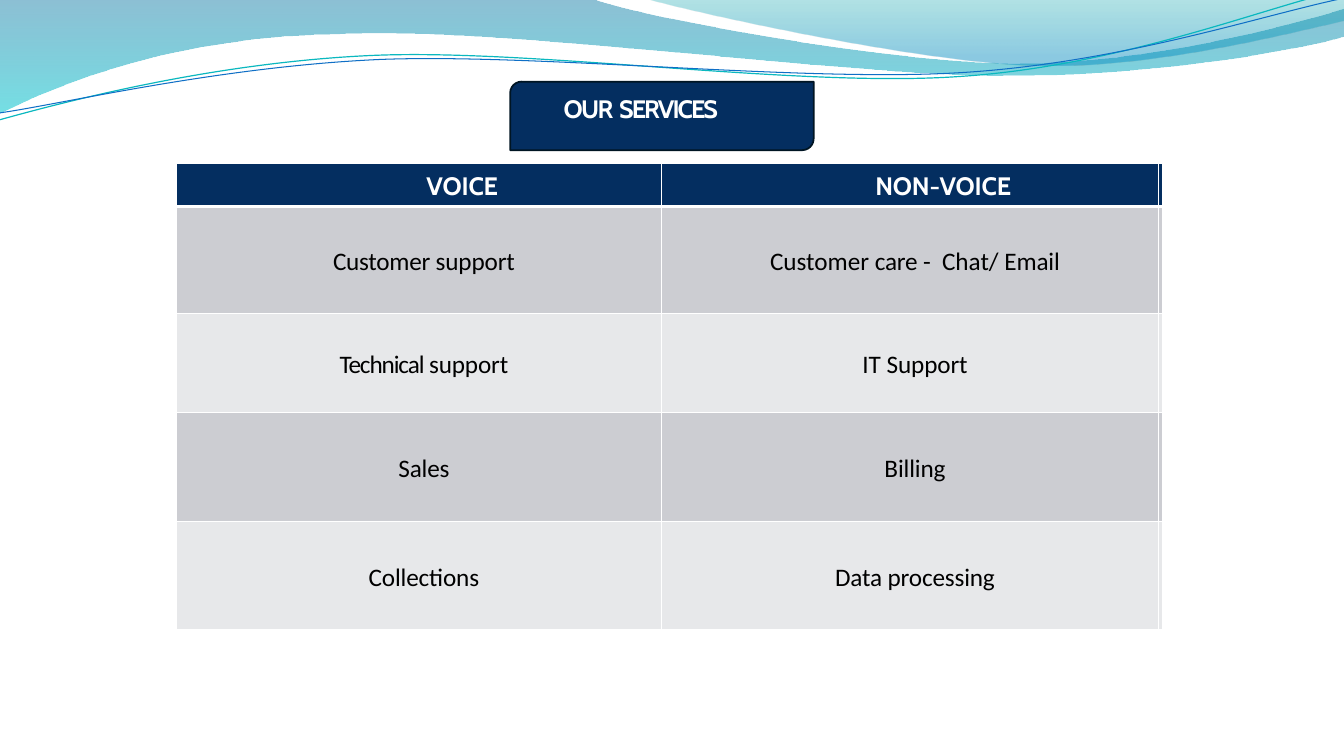
import pptx
import pptx.dml.color
import pptx.enum.shapes
import pptx.enum.text
import pptx.oxml
import pptx.oxml.ns
import pptx.util
from pptx.util import Inches

RGBColor = pptx.dml.color.RGBColor
NAVY = RGBColor(0x04, 0x2E, 0x60)
DARK_NAVY = RGBColor(0x00, 0x15, 0x23)
WHITE = RGBColor(0xFF, 0xFF, 0xFF)
BLACK = RGBColor(0x00, 0x00, 0x00)
DARK_BAND = RGBColor(0xCC, 0xCD, 0xD2)
LIGHT_BAND = RGBColor(0xE7, 0xE8, 0xEA)
DEEP_BLUE = RGBColor(0x00, 0x74, 0xA1)
CYAN = RGBColor(0x00, 0xC6, 0xCF)
TEAL = RGBColor(0x00, 0xA1, 0xA9)
SKY_BLUE = RGBColor(0x00, 0x8B, 0xBF)
TEAL_LINE = RGBColor(0x0A, 0xB8, 0xBF)
BLUE_LINE = RGBColor(0x0F, 0x6F, 0xC6)


def add_wave(page, start, segments, close):
    """Draw a freeform; a segment has one point (line) or three (cubic curve)."""
    builder = page.shapes.build_freeform(Inches(start[0]), Inches(start[1]))
    points = [(Inches(x), Inches(y)) for segment in segments for x, y in segment]
    builder.add_line_segments(points, close=close)
    wave = builder.convert_to_shape()
    wave.shadow.inherit = False
    steps = iter(list(wave._element.iter(pptx.oxml.ns.qn("a:lnTo"))))
    for segment in segments:
        first, *others = [next(steps) for _ in segment]
        if others:
            first.tag = pptx.oxml.ns.qn("a:cubicBezTo")
        for other in others:
            first.append(other[0])
            other.getparent().remove(other)
    return wave


def add_spans(para, spans, font_name, color, bold):
    """Fill a paragraph with (text, letter spacing in points) spans."""
    para.font.name = font_name
    para.font.size = pptx.util.Pt(18)
    para.font.bold = bold
    para.font.color.rgb = color
    for text, spacing in spans:
        span = para.add_run()
        span.text = text
        span.font._element.set("spc", str(round(spacing * 100)))


deck = pptx.Presentation()
deck.slide_width, deck.slide_height = Inches(13.33), Inches(7.5)
page = deck.slides.add_slide(deck.slide_layouts[6])

# Filled waves: start, segments, gradient stops (position, colour, opacity %)
filled_waves = [
    ((-0.01, 0),
     [[(5.87, -0.01)],
      [(6.34, 0.17), (8.85, 0.63), (10.11, 0.63)],
      [(11.38, 0.63), (12.78, 0.26), (13.33, 0.09)],
      [(13.35, 0.36)],
      [(13.11, 0.44), (11.6, 0.76), (9.94, 0.75)],
      [(8.29, 0.75), (5.09, 0.28), (3.43, 0.34)],
      [(1.72, 0.36), (0.61, 0.83), (-0.01, 1.13)]],
     [(0, DEEP_BLUE, 45), (1, CYAN, 55)]),
    ((6.39, -0.01),
     [[(6.79, 0.11), (9.09, 0.62), (10.25, 0.65)],
      [(11.41, 0.69), (12.82, 0.32), (13.33, 0.21)],
      [(13.33, 0)]],
     [(0, TEAL, 30), (0.8, SKY_BLUE, 45)]),
]
for start, segments, stops in filled_waves:
    wave = add_wave(page, start, segments, True)
    wave.line.fill.background()
    wave.fill.gradient()
    wave.fill.gradient_angle = 270
    for stop, (position, color, opacity) in zip(wave.fill.gradient_stops, stops):
        stop.position = position
        stop.color.rgb = color
        tint = stop._gs.find(pptx.oxml.ns.qn("a:srgbClr"))
        alpha = tint.makeelement(pptx.oxml.ns.qn("a:alpha"), {"val": str(opacity * 1000)})
        tint.append(alpha)

line_waves = [
    ((-0.01, 1.19),
     [[(0.64, 1.01), (2.11, 0.62), (3.69, 0.55)],
      [(5.27, 0.48), (7.9, 0.87), (9.5, 0.76)],
      [(11.1, 0.66), (12.52, 0.08), (13.31, -0.1)]], TEAL_LINE, 0.85),
    ((0, 1.12),
     [[(0.63, 1.03), (2.18, 0.66), (3.78, 0.59)],
      [(5.37, 0.53), (7.96, 0.82), (9.55, 0.72)],
      [(11.15, 0.62), (12.55, 0.14), (13.34, -0.02)]], BLUE_LINE, 0.75),
]
for start, segments, color, width in line_waves:
    wave = add_wave(page, start, segments, False)
    wave.fill.background()
    wave.line.color.rgb = color
    wave.line.width = pptx.util.Pt(width)

# Title banner
banner = page.shapes.add_shape(pptx.enum.shapes.MSO_SHAPE.ROUND_2_DIAG_RECTANGLE,
                               Inches(5.06), Inches(0.81), Inches(3.01), Inches(0.68))
banner.shadow.inherit = False
banner.fill.solid()
banner.fill.fore_color.rgb = NAVY
banner.line.color.rgb = DARK_NAVY
banner.line.width = pptx.util.Pt(1.25)

title_box = page.shapes.add_textbox(Inches(5.58), Inches(0.92), Inches(2), Inches(0.32))
frame = title_box.text_frame
frame.word_wrap = True
frame.margin_left = frame.margin_top = Inches(0.01)
frame.margin_right = frame.margin_bottom = 0
title = frame.paragraphs[0]
title.space_before = pptx.util.Pt(1)
add_spans(title, [("OUR", -1.1), (" ", 0), ("SERVICES", -1.4)], "Cabin", WHITE, True)

# Services table
services = [
    ([("VOICE", -0.1)], [("NON-VOICE", -0.1)]),
    ([("Customer ", -0.2), ("support", -0.1)],
     [("Customer ", 0), ("care ", -0.2), ("- ", 2), ("Chat/ ", 0), ("Email", -0.1)]),
    ([("Technical ", -0.8), ("support", -0.1)], [("IT ", 0), ("Support", -0.1)]),
    ([("Sales", -0.1)], [("Billing", -0.1)]),
    ([("Collections", -0.1)], [("Data processing", -0.1)]),
]
column_widths = [4.81, 4.93, 0.03]
row_heights = [0.43, 1.06, 0.98, 1.08, 1.08]
header_indents = [0.86, 0.66]
table = page.shapes.add_table(len(row_heights), len(column_widths), Inches(1.75), Inches(1.62),
                              Inches(sum(column_widths)), Inches(sum(row_heights))).table
for column, width in zip(table.columns, column_widths):
    column.width = Inches(width)
for r, height in enumerate(row_heights):
    table.rows[r].height = Inches(height)
    is_header = r == 0
    band = NAVY if is_header else DARK_BAND if r % 2 else LIGHT_BAND
    for c in range(len(column_widths)):
        cell = table.cell(r, c)
        for side in "LRTB":
            thick = (r, side) in ((0, "B"), (1, "T"))
            cell._tc.get_or_add_tcPr().append(pptx.oxml.parse_xml(
                f'<a:ln{side} {pptx.oxml.ns.nsdecls("a")} w="{38100 if thick else 12700}">'
                f'<a:solidFill><a:srgbClr val="{WHITE}"/></a:solidFill></a:ln{side}>'))
        cell.fill.solid()
        cell.fill.fore_color.rgb = band
        cell.vertical_anchor = pptx.enum.text.MSO_ANCHOR.MIDDLE
        cell.margin_left = cell.margin_right = cell.margin_top = cell.margin_bottom = 0
        if c < len(services[r]):
            cell.margin_left = Inches(header_indents[c] if is_header else 0.1)
            cell.margin_top = Inches(0.04)
            para = cell.text_frame.paragraphs[0]
            para.alignment = pptx.enum.text.PP_ALIGN.CENTER
            para.space_before = pptx.util.Pt(2.7)
            add_spans(para, services[r][c], "Cabin" if is_header else "Calibri",
                      WHITE if is_header else BLACK, is_header)

deck.save("out.pptx")
